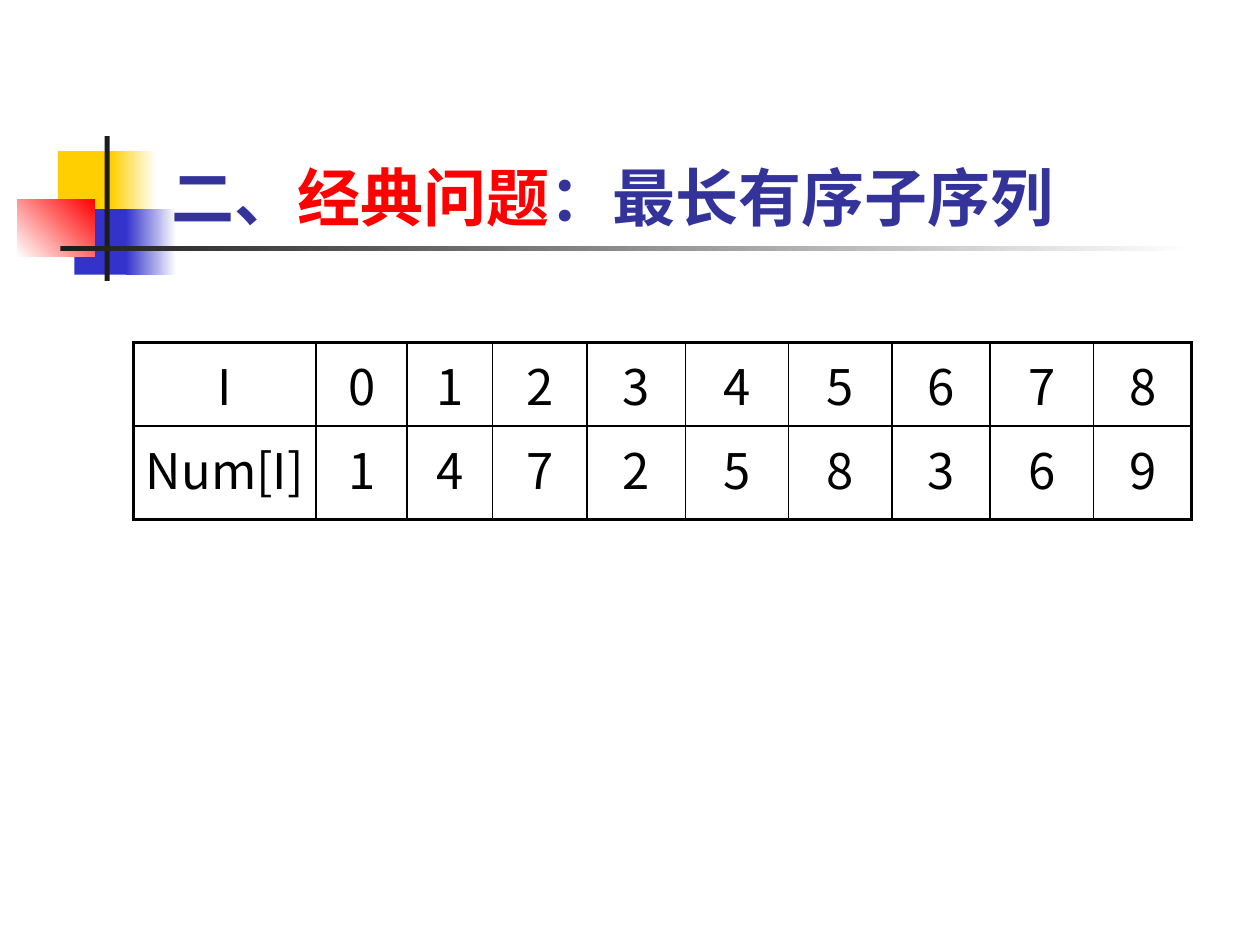
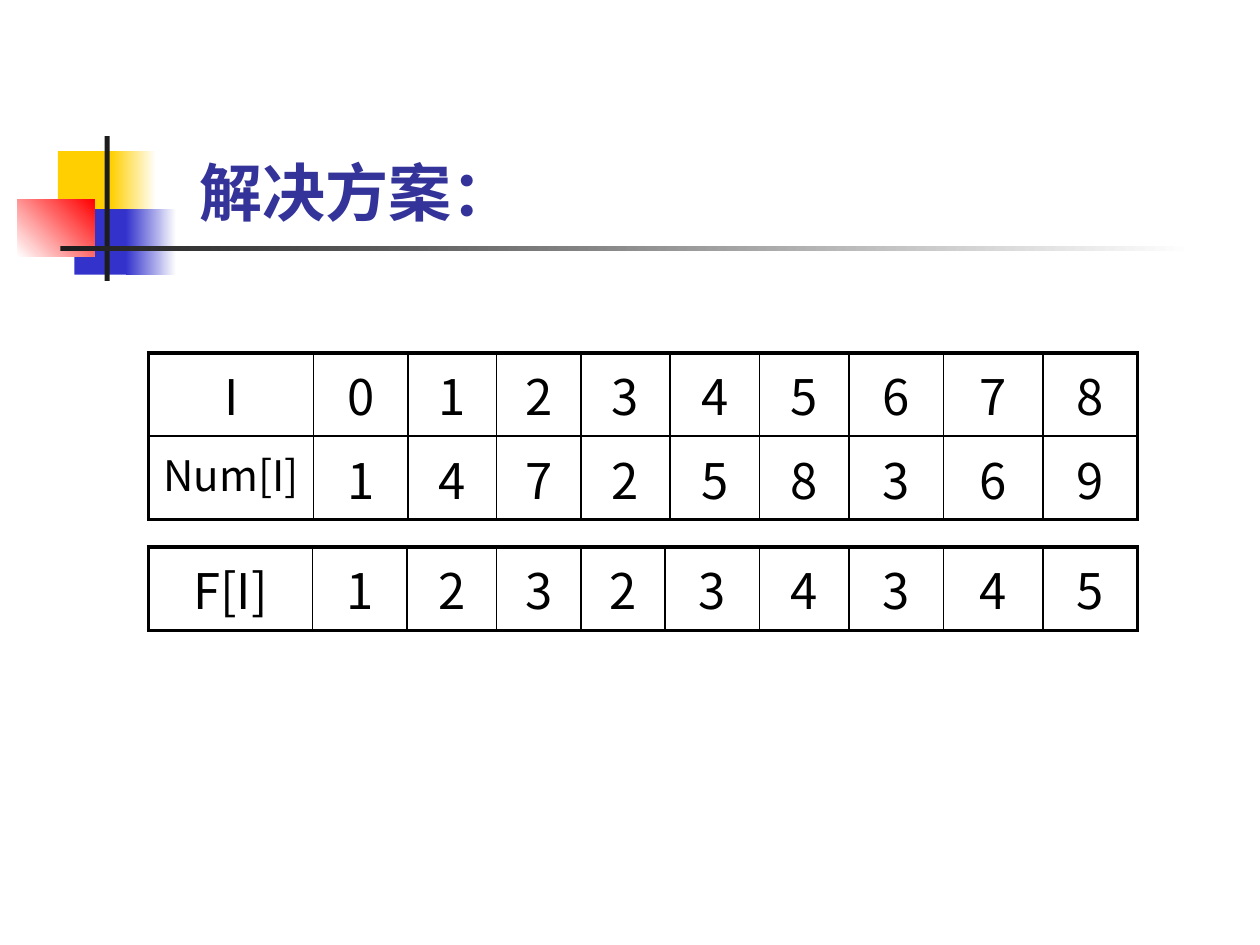
from dataclasses import dataclass
from typing import Any, Optional

from lxml.etree import SubElement
from pptx import Presentation
from pptx.dml.color import RGBColor
from pptx.enum.lang import MSO_LANGUAGE_ID
from pptx.enum.shapes import MSO_SHAPE
from pptx.enum.text import MSO_ANCHOR, MSO_AUTO_SIZE, PP_ALIGN
from pptx.oxml.ns import qn
from pptx.util import Emu, Pt

PX = 9144  # EMU in one px, 100 px to the inch
TITLE_ONLY = 5

WHITE = RGBColor(0xFF, 0xFF, 0xFF)
BLACK = RGBColor(0x00, 0x00, 0x00)
CHARCOAL = RGBColor(0x1C, 0x1C, 0x1C)
YELLOW = RGBColor(0xFF, 0xCF, 0x01)
BLUE = RGBColor(0x33, 0x33, 0xCC)
NAVY = RGBColor(0x33, 0x33, 0x99)
RED = RGBColor(0xFF, 0x00, 0x00)

TITLE_FONT = {"name": "Times New Roman", "size": Pt(36), "bold": True,
              "language_id": MSO_LANGUAGE_ID.SIMPLIFIED_CHINESE}
TITLE_FRAME = {"word_wrap": True, "auto_size": MSO_AUTO_SIZE.NONE,
               "vertical_anchor": MSO_ANCHOR.BOTTOM}
CELL_FONT = {"name": "Noto Sans CJK KR", "size": Pt(28)}
CELL_MARGINS = {"margin_left": Emu(5 * PX), "margin_right": Emu(5 * PX)}
PLAIN_TABLE = {"first_row": False, "horz_banding": False}
OUTER_LINE, INNER_LINE = Pt(2.25), Pt(1)


@dataclass(frozen=True)
class Area:
    left: int
    top: int
    width: int
    height: int

    def emu(self) -> tuple[Emu, ...]:
        return tuple(Emu(n * PX) for n in (self.left, self.top, self.width, self.height))


@dataclass(frozen=True)
class Band:
    """A rectangle filled with one colour, or fading to a second one."""
    area: Area
    start: RGBColor
    end: Optional[RGBColor] = None
    angle: int = 0


@dataclass(frozen=True)
class Title:
    area: Area
    spans: tuple[tuple[str, RGBColor], ...]


@dataclass(frozen=True)
class Row:
    label: str
    values: str
    height: int
    label_size: int = 28


@dataclass(frozen=True)
class Grid:
    left: int
    top: int
    columns: tuple[int, ...]
    rows: tuple[Row, ...]


@dataclass(frozen=True)
class Page:
    title: Title
    grids: tuple[Grid, ...]


BANDS = (
    Band(Area(46, 120, 48, 52), YELLOW),
    Band(Area(88, 120, 36, 52), YELLOW, WHITE),
    Band(Area(59, 166, 46, 52), BLUE),
    Band(Area(100, 166, 40, 52), BLUE, WHITE),
    Band(Area(14, 158, 61, 46), WHITE, RED, 45),
    Band(Area(83, 108, 4, 115), CHARCOAL),
    Band(Area(48, 195, 900, 4), CHARCOAL, WHITE),
)

INDEXES, NUMBERS, LENGTHS = "012345678", "147258369", "123234345"

PAGES = (
    Page(
        Title(Area(126, 91, 852, 100),
              (("二、", NAVY), ("经典问题", RED), ("：最长有序子序列", NAVY))),
        (Grid(106, 272, (145, 72, 68, 75, 78, 82, 82, 78, 82, 78),
              (Row("I", INDEXES, 63), Row("Num[I]", NUMBERS, 74))),),
    ),
    Page(
        Title(Area(148, 111, 557, 76), (("解决方案：", NAVY),)),
        (Grid(118, 280, (131, 75, 70, 67, 71, 71, 71, 75, 79, 75),
              (Row("I", INDEXES, 59), Row("Num[I]", NUMBERS, 61, 24))),
         Grid(118, 434, (130, 75, 71, 67, 67, 75, 71, 75, 79, 75),
              (Row("F[I]", LENGTHS, 64),))),
    ),
)


def set_all(target: Any, values: dict[str, Any]) -> None:
    for name, value in values.items():
        setattr(target, name, value)


def add_span(para: Any, text: str, font: dict[str, Any], color: RGBColor) -> None:
    span = para.add_run()
    span.text = text
    set_all(span.font, font)
    span.font.color.rgb = color


def add_band(page: Any, band: Band) -> Any:
    box = page.shapes.add_shape(MSO_SHAPE.RECTANGLE, *band.area.emu())
    box.shadow.inherit = False
    box.line.fill.background()
    if band.end is None:
        box.fill.solid()
        box.fill.fore_color.rgb = band.start
    else:
        box.fill.gradient()
        box.fill.gradient_angle = band.angle
        for stop, color in zip(box.fill.gradient_stops, (band.start, band.end)):
            stop.color.rgb = color
    return box


def decorate_layout(layout: Any, page: Any) -> None:
    """Draw the bands on a page, then move them to the layout all pages share."""
    for band in BANDS:
        layout.shapes._spTree.append(add_band(page, band)._element)


def write_title(page: Any, title: Title) -> None:
    box = page.shapes.title
    set_all(box, dict(zip(("left", "top", "width", "height"), title.area.emu())))
    set_all(box.text_frame, TITLE_FRAME)
    para = box.text_frame.paragraphs[0]
    para.alignment = PP_ALIGN.LEFT
    for text, color in title.spans:
        add_span(para, text, TITLE_FONT, color)


def add_borders(cell: Any, outer_sides: dict[str, bool]) -> None:
    properties = cell._tc.get_or_add_tcPr()
    for side, is_outer in outer_sides.items():
        width = OUTER_LINE if is_outer else INNER_LINE
        line = SubElement(properties, qn(f"a:ln{side}"), w=str(int(width)))
        fill = SubElement(line, qn("a:solidFill"))
        SubElement(fill, qn("a:srgbClr"), val=str(BLACK))


def add_grid(page: Any, grid: Grid) -> None:
    area = Area(grid.left, grid.top, sum(grid.columns), sum(row.height for row in grid.rows))
    last_row, last_column = len(grid.rows) - 1, len(grid.columns) - 1
    table = page.shapes.add_table(last_row + 1, last_column + 1, *area.emu()).table
    set_all(table, PLAIN_TABLE)
    for column, width in zip(table.columns, grid.columns):
        column.width = Emu(width * PX)
    for r, row in enumerate(grid.rows):
        table.rows[r].height = Emu(row.height * PX)
        for c, text in enumerate((row.label, *row.values)):
            cell = table.cell(r, c)
            set_all(cell, CELL_MARGINS)
            add_borders(cell, {"L": c == 0, "R": c == last_column,
                               "T": r == 0, "B": r == last_row})
            cell.fill.background()
            para = cell.text_frame.paragraphs[0]
            para.alignment = PP_ALIGN.CENTER
            size = {"size": Pt(row.label_size)} if c == 0 else {}
            add_span(para, text, CELL_FONT | size, BLACK)


def main() -> None:
    deck = Presentation()
    deck.slide_width, deck.slide_height = Emu(1000 * PX), Emu(750 * PX)
    layout = deck.slide_layouts[TITLE_ONLY]
    for content in PAGES:
        page = deck.slides.add_slide(layout)
        if len(deck.slides) == 1:
            decorate_layout(layout, page)
        write_title(page, content.title)
        for grid in content.grids:
            add_grid(page, grid)
    deck.save("out.pptx")


if __name__ == "__main__":
    main()
